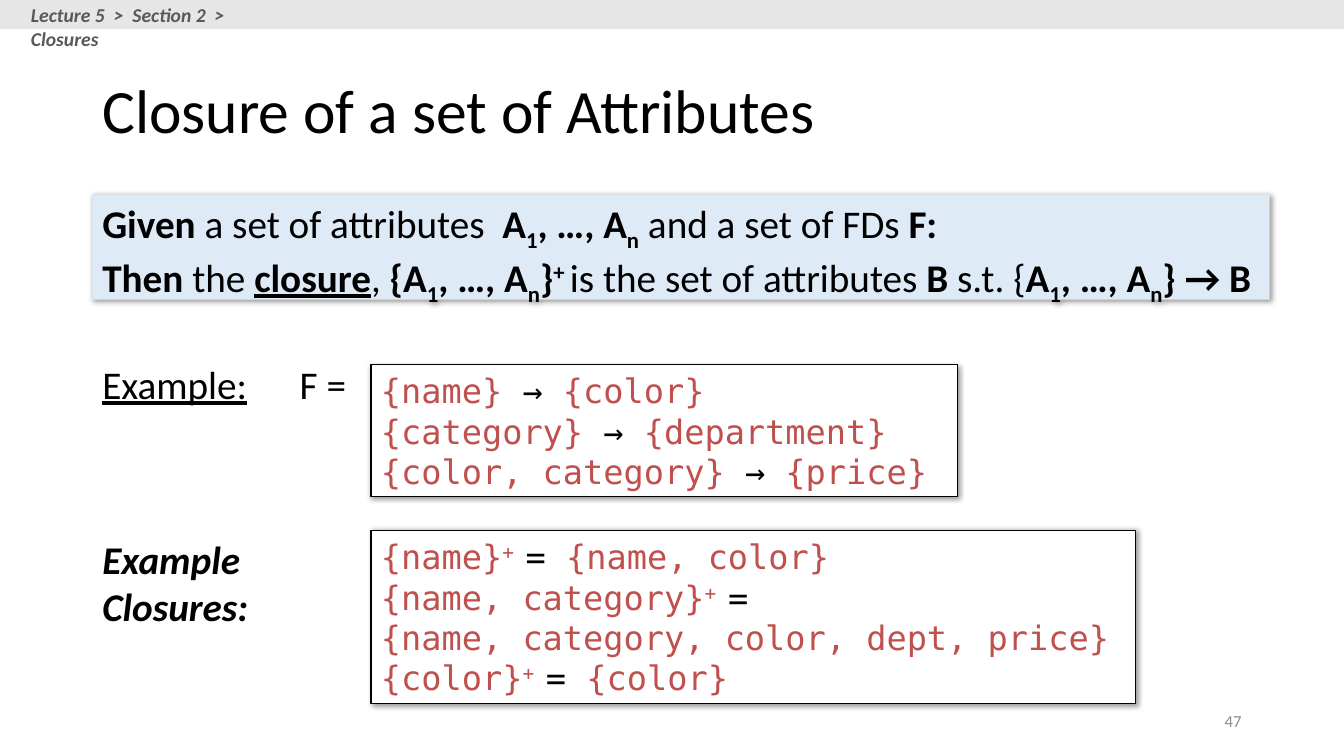
from dataclasses import dataclass

from lxml import etree
from pptx import Presentation
from pptx.dml.color import RGBColor
from pptx.enum.shapes import MSO_SHAPE
from pptx.enum.text import MSO_ANCHOR, MSO_AUTO_SIZE, PP_ALIGN
from pptx.oxml.ns import qn
from pptx.util import Pt

RECT = MSO_SHAPE.RECTANGLE
TOP, MID = MSO_ANCHOR.TOP, MSO_ANCHOR.MIDDLE
LEFT, RIGHT = PP_ALIGN.LEFT, PP_ALIGN.RIGHT
FIXED = MSO_AUTO_SIZE.NONE


@dataclass(frozen=True)
class Theme:
    sans: str = "Calibri"
    mono: str = "DejaVu Sans Mono"
    ink: str = "000000"
    red: str = "C0504D"
    dim: str = "595959"
    pale: str = "8C8C8C"
    blue: str = "DEEBF7"
    white: str = "FFFFFF"
    band: str = "E7E6E6"
    title: int = 44
    body: int = 28
    small: int = 24
    head: int = 14
    page: int = 12


class Deck:
    def __init__(self, theme):
        self.theme = theme
        self.show = Presentation()
        self.show.slide_width, self.show.slide_height = Pt(960), Pt(540)
        self.slide = self.show.slides.add_slide(self.show.slide_layouts[5])

    def words(self, shape, lines, size, font=None, color=None,
              anchor=TOP, align=LEFT, tab=None):
        frame = shape.text_frame
        frame.word_wrap = True
        frame.auto_size = FIXED
        frame.vertical_anchor = anchor
        for num, line in enumerate(lines):
            para = frame.add_paragraph() if num else frame.paragraphs[0]
            para.alignment = align
            if tab:
                stops = etree.SubElement(para._p.get_or_add_pPr(), qn("a:tabLst"))
                etree.SubElement(stops, qn("a:tab"), pos=str(Pt(tab)), algn="l")
            for text, marks in line:
                run = para.add_run()
                run.text = text
                face = run.font
                face.name = font or self.theme.sans
                face.size = Pt(size)
                face.bold = "b" in marks
                face.italic = "i" in marks
                face.underline = "u" in marks
                tint = self.theme.red if "r" in marks else color or self.theme.ink
                face.color.rgb = RGBColor.from_string(tint)
                shift = -25000 if "_" in marks else 30000 if "^" in marks else 0
                if shift:
                    run._r.get_or_add_rPr().set("baseline", str(shift))

    def title(self, text, area):
        shape = self.slide.shapes.title
        shape.left, shape.top, shape.width, shape.height = map(Pt, area)
        self.words(shape, [[(text, "")]], self.theme.title, anchor=MID)
        shape.text_frame.paragraphs[0].line_spacing = 0.9

    def label(self, area, line, size, **style):
        shape = self.slide.shapes.add_textbox(*map(Pt, area))
        self.words(shape, [line], size, **style)

    def panel(self, area, fill, edge=False, shade=True):
        shape = self.slide.shapes.add_shape(RECT, *map(Pt, area))
        shape.shadow.inherit = False
        shape.fill.solid()
        shape.fill.fore_color.rgb = RGBColor.from_string(fill)
        if edge:
            shape.line.color.rgb = RGBColor.from_string(self.theme.ink)
            shape.line.width = Pt(0.75)
        else:
            shape.line.fill.background()
        if shade:
            glow = etree.SubElement(
                shape._element.spPr.find(qn("a:effectLst")), qn("a:outerShdw"),
                blurRad=str(Pt(4)), dist=str(Pt(1)), dir="2700000",
                algn="tl", rotWithShape="0")
            tint = etree.SubElement(glow, qn("a:srgbClr"), val=self.theme.ink)
            etree.SubElement(tint, qn("a:alpha"), val="40000")
        return shape

    def facts(self, area, lines):
        shape = self.panel(area, self.theme.white, edge=True)
        self.words(shape, lines, self.theme.small, font=self.theme.mono, anchor=MID)


def rule(left, right):
    return [(left + " ", "r"), ("→ ", ""), (right, "r")]


def closure(left, right=None):
    line = [(left, "r"), ("+ ", "r^")]
    return line + ([("= ", ""), (right, "r")] if right else [("=", "")])


def main():
    theme = Theme()
    deck = Deck(theme)
    side, inset = 66, 265
    attrs = [("A", "b"), ("1", "b_"), (", …, A", "b"), ("n", "b_")]

    deck.label((678, 500.4, 216, 28.8), [("47", "")], theme.page,
               color=theme.pale, anchor=MID, align=RIGHT)
    deck.title("Closure of a set of Attributes", (side, 29, 828, 104.4))

    given = deck.panel((side, 139, 841, 75), theme.blue)
    deck.words(given, [
        [("Given", "b"), (" a set of attributes  ", ""), *attrs,
         (" and a set of FDs ", ""), ("F:", "b")],
        [("Then ", "b"), ("the ", ""), ("closure", "bu"), (", ", ""),
         ("{", "b"), *attrs, ("}", "b"), ("+ ", "b^"),
         ("is the set of attributes ", ""), ("B ", "b"), ("s.t. {", ""),
         *attrs, ("} → B", "b")],
    ], theme.body)

    deck.facts((inset, 260.6, 419, 94.3), [
        rule("{name}", "{color}"),
        rule("{category}", "{department}"),
        rule("{color, category}", "{price}"),
    ])
    deck.label((side, 253.5, 191.5, 41), [("Example:", "u"), ("\tF =", "")],
               theme.body, tab=141)
    deck.label((side, 378.7, 137, 75), [("Example Closures:", "bi")], theme.body)
    deck.facts((inset, 378.7, 545.8, 123.8), [
        closure("{name}", "{name, color}"),
        closure("{name, category}"),
        [("{name, category, color, dept, price}", "r")],
        closure("{color}", "{color}"),
    ])

    deck.panel((0, 0, 960, 20.9), theme.band, shade=False)
    deck.label((15, -1.4, 205, 24.5),
               [("Lecture 5  >  Section 2  >  Closures", "bi")],
               theme.head, color=theme.dim)
    deck.show.save("out.pptx")


if __name__ == "__main__":
    main()
